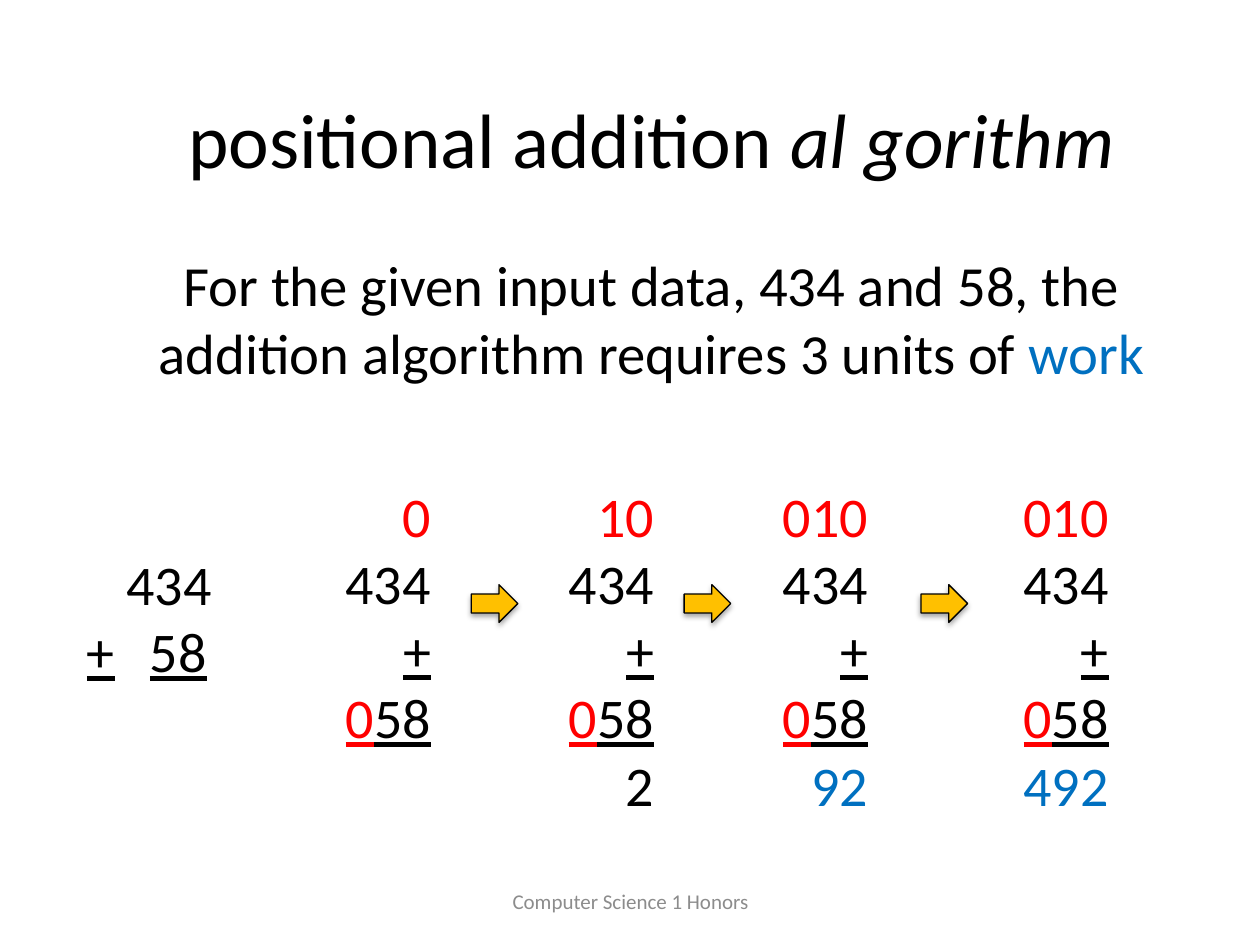
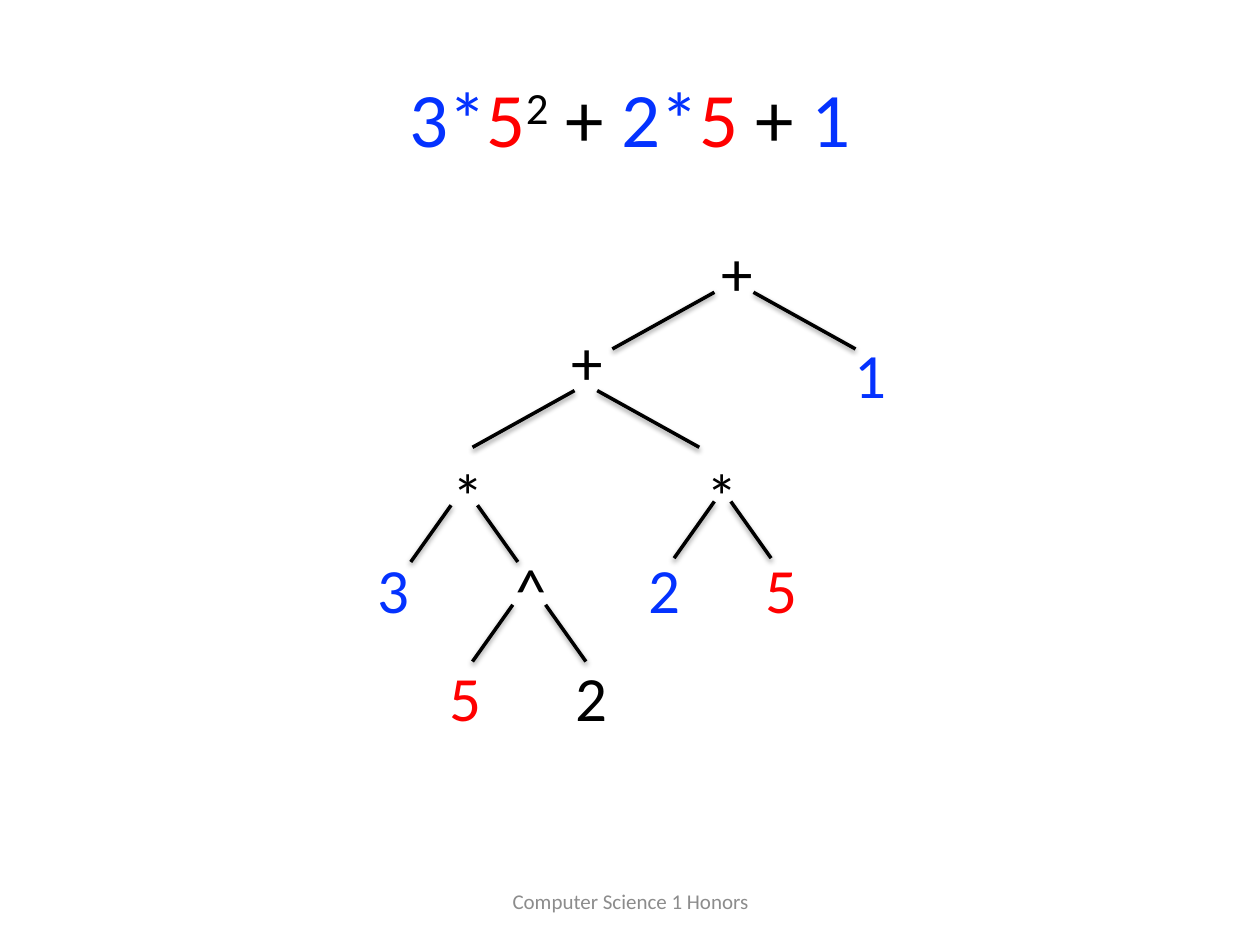
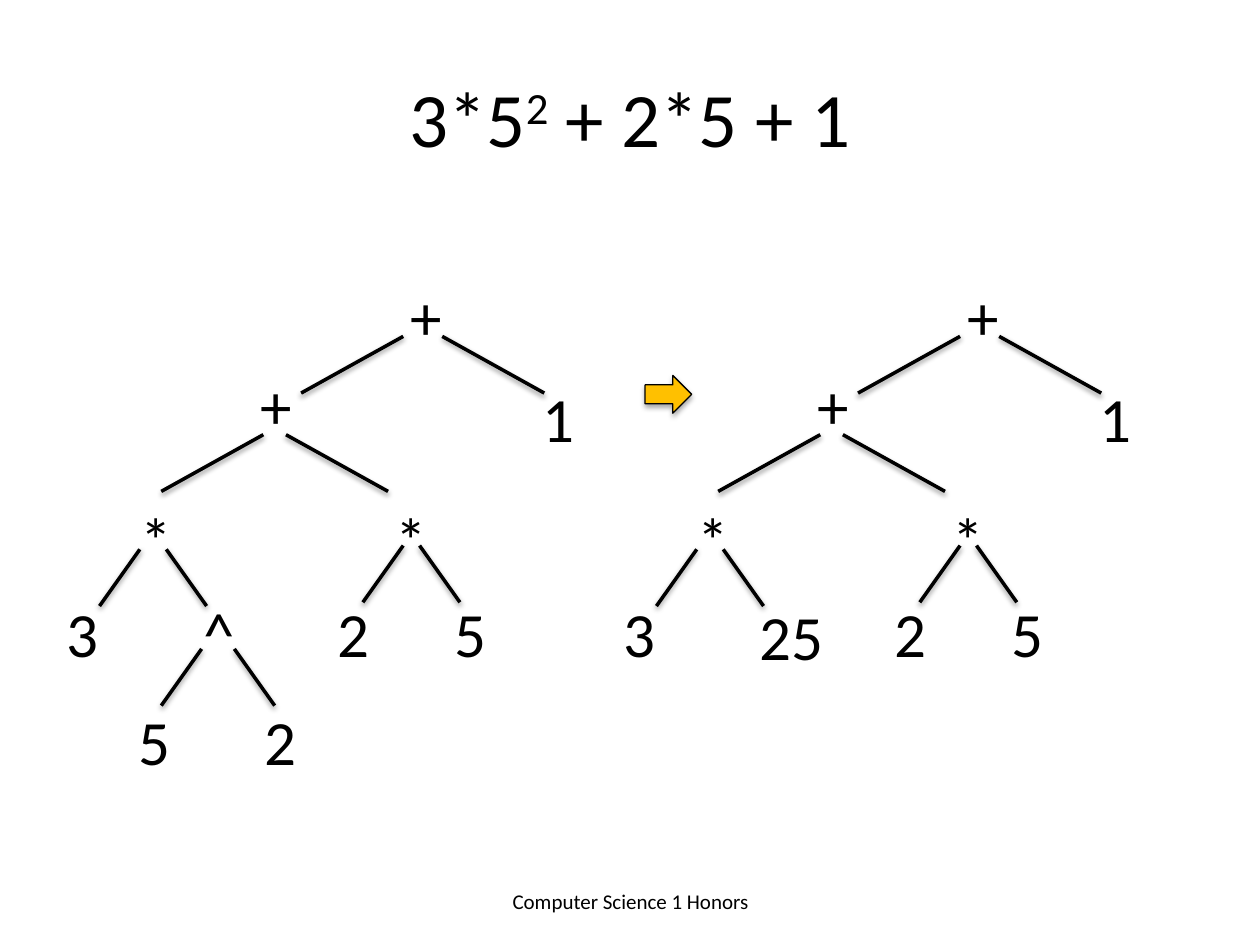
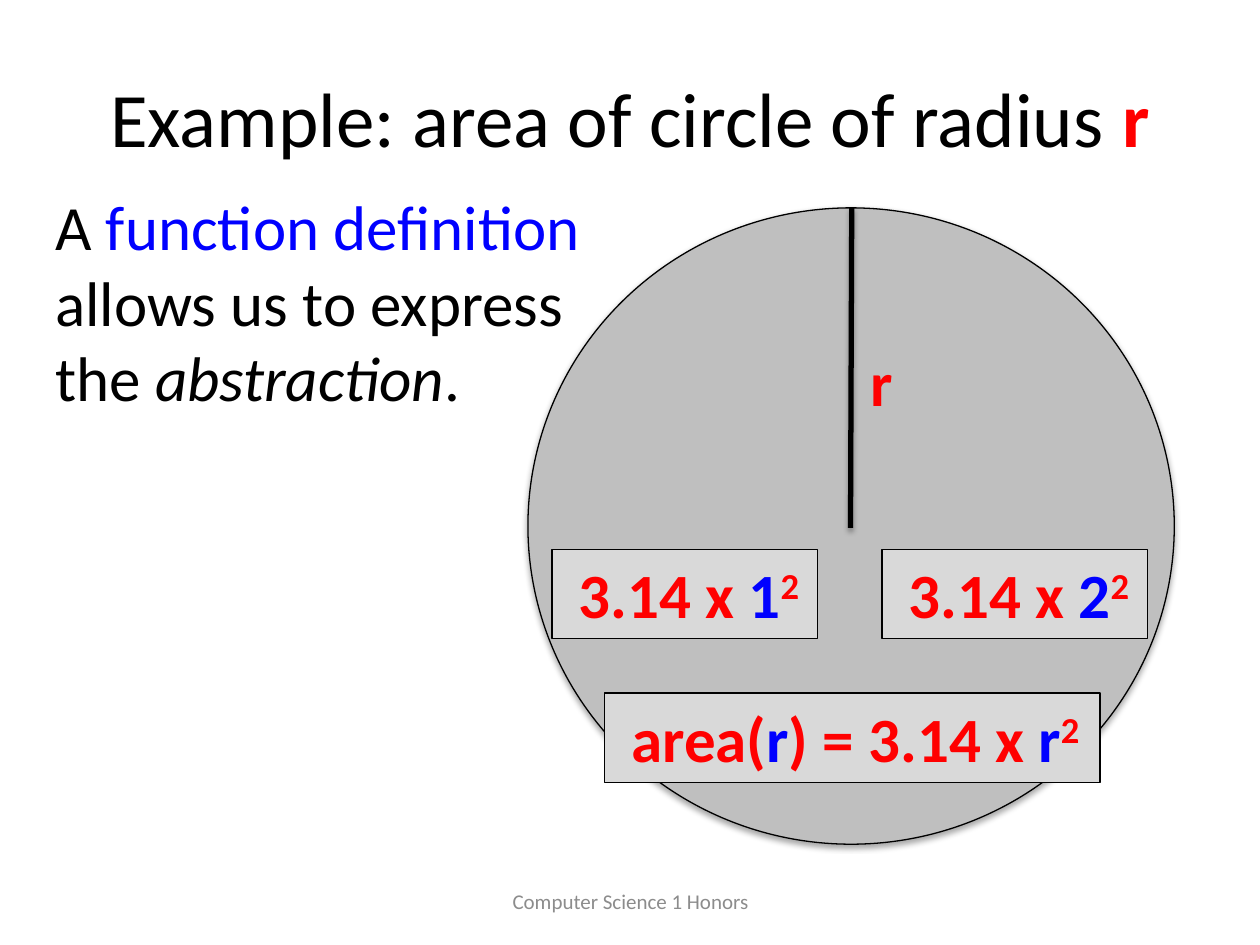
from lxml.etree import SubElement
from pptx import Presentation
from pptx.dml.color import RGBColor
from pptx.enum.shapes import MSO_CONNECTOR, MSO_SHAPE
from pptx.enum.text import MSO_ANCHOR, MSO_AUTO_SIZE, PP_ALIGN
from pptx.oxml.ns import qn
from pptx.util import Inches, Pt

# Shared look
FONT = "Calibri"
BLACK, RED, BLUE, STEEL = "000000", "FF0000", "0000FF", "0070C0"
INK, GOLD, GREY, PALE, MUTED = "0432FF", "FFC000", "BFBFBF", "D9D9D9", "8C8C8C"
TITLE_SIZE, SUM_SIZE, LABEL_SIZE, FOOTER_SIZE = 44, 32, 36, 12
LEFT, CENTER, RIGHT = PP_ALIGN.LEFT, PP_ALIGN.CENTER, PP_ALIGN.RIGHT

# Grid of 100 columns by 75 rows: all places below are counted in cells
CELL = Inches(0.1)
TITLE_AREA = (5, 3, 90, 12.5)
FOOTER_AREA = (34.2, 69.5, 31.7, 4)
LABEL_HEIGHT = 7.1

# Tree parts, in cells from the tree's corner: text, column, row, width, colour
TREE_TOP = [
    ("+", 27.3, 0, 4.5, BLACK), ("+", 15.4, 7.1, 4.5, BLACK), ("1", 37.8, 8.1, 4.6, INK),
    ("*", 5.9, 17.7, 4.5, BLACK), ("*", 26.1, 17.7, 4.5, BLACK),
    ("3", 0, 25.2, 4.6, INK), ("2", 21.5, 25.2, 4.7, INK), ("5", 30.8, 25.2, 4.6, RED),
]
POWER = [("^", 10.9, 25.2, 4.5, BLACK), ("5", 5.7, 33.8, 4.6, RED), ("2", 15.7, 33.8, 4.6, BLACK)]
POWER_VALUE = [("25", 10.8, 25.4, 7.1, BLACK)]
# Forks: left start, right start, row, reach to the side
TOP_FORKS = [(27.7, 30.8, 5.2, 8.1), (16.6, 18.4, 13, 8.1), (6.8, 8.9, 22.1, 3.2), (27.7, 29, 21.8, 3.2)]
POWER_FORK = [(11.7, 14.3, 30, 3.2)]
FORK_DROP = 4.5


def cells(*counts):
    return [round(count * CELL) for count in counts]


def color(code):
    return RGBColor.from_string(code)


def write(frame, paragraphs, size, align=LEFT):
    """Each paragraph is a list of (text, colour, style); style holds b, i, u or ^."""
    for index, spans in enumerate(paragraphs):
        para = frame.paragraphs[0] if index == 0 else frame.add_paragraph()
        para.alignment = align
        para.space_before = Pt(0)
        for text, code, style in spans:
            span = para.add_run()
            span.text = text
            font = span.font
            font.name, font.size = FONT, Pt(size)
            font.color.rgb = color(code)
            font.bold, font.italic, font.underline = ("b" in style, "i" in style, "u" in style)
            if "^" in style:
                span._r.get_or_add_rPr().set("baseline", "30000")


def add_text(shapes, area, paragraphs, size, align=LEFT, anchor=MSO_ANCHOR.TOP, wrap=True):
    box = shapes.add_textbox(*cells(*area))
    frame = box.text_frame
    frame.word_wrap = wrap
    frame.vertical_anchor = anchor
    write(frame, paragraphs, size, align)
    return box


def add_label(shapes, column, row, width, text, code, style=""):
    add_text(shapes, (column, row, width, LABEL_HEIGHT), [[(text, code, style)]], LABEL_SIZE, wrap=False)


def fill_placeholder(holder, area, paragraphs, size, align=LEFT):
    holder.left, holder.top, holder.width, holder.height = cells(*area)
    holder.text_frame.auto_size = MSO_AUTO_SIZE.NONE
    write(holder.text_frame, paragraphs, size, align)


def add_page(deck, layout, title, area=TITLE_AREA, size=TITLE_SIZE, footer=MUTED):
    page = deck.slides.add_slide(deck.slide_layouts.get_by_name(layout))
    fill_placeholder(page.shapes.title, area, [title], size, CENTER)
    page.shapes.title.text_frame.vertical_anchor = MSO_ANCHOR.MIDDLE
    add_text(page.shapes, FOOTER_AREA, [[("Computer Science 1 Honors", footer, "")]],
             FOOTER_SIZE, CENTER, MSO_ANCHOR.MIDDLE)
    return page


def cast_shadow(shape, opacity=35, distance=1.8):
    effects = SubElement(shape.element.spPr, qn("a:effectLst"))
    shadow = SubElement(effects, qn("a:outerShdw"), blurRad=str(Pt(3.1)), dist=str(Pt(distance)),
                        dir="5400000", rotWithShape="0")
    tone = SubElement(shadow, qn("a:srgbClr"), val=BLACK)
    SubElement(tone, qn("a:alpha"), val=str(opacity * 1000))


def add_figure(shapes, kind, area, fill, shadowed=True):
    figure = shapes.add_shape(kind, *cells(*area))
    figure.fill.solid()
    figure.fill.fore_color.rgb = color(fill)
    figure.line.color.rgb = color(BLACK)
    figure.line.width = Pt(0.75)
    if shadowed:
        cast_shadow(figure)
    else:
        figure.shadow.inherit = False
    return figure


def add_arrow(shapes, column, row):
    add_figure(shapes, MSO_SHAPE.RIGHT_ARROW, (column, row, 3.7, 3), GOLD)


def add_line(shapes, ends, width, opacity, distance):
    line = shapes.add_connector(MSO_CONNECTOR.STRAIGHT, *cells(*ends))
    line.line.color.rgb = color(BLACK)
    line.line.width = Pt(width)
    cast_shadow(line, opacity, distance)


def add_formula(shapes, area, spans):
    panel = add_figure(shapes, MSO_SHAPE.RECTANGLE, area, PALE, shadowed=False)
    panel.text_frame.word_wrap = False
    panel.text_frame.vertical_anchor = MSO_ANCHOR.TOP
    write(panel.text_frame, [spans], LABEL_SIZE)


def add_tree(page, left, top, nodes, forks, colored=False):
    tree = page.shapes.add_group_shape().shapes
    for text, column, row, width, code in nodes:
        add_label(tree, left + column, top + row, width, text, code if colored else BLACK)
    for left_start, right_start, row, reach in forks:
        for start, side in ((left_start, -reach), (right_start, reach)):
            x, y = left + start, top + row
            add_line(tree, (x, y, x + side, y + FORK_DROP), 2, 38, 1.6)


def add_right_tab(para, column):
    tabs = SubElement(para._p.get_or_add_pPr(), qn("a:tabLst"))
    SubElement(tabs, qn("a:tab"), pos=str(cells(column)[0]), algn="r")


def build_addition(deck):
    question = [("For the given input data, 434 and 58, the addition algorithm requires 3 units of ", BLACK, ""),
                ("work", STEEL, "")]
    page = add_page(deck, "Title and Content", question, (6.7, 19, 90, 12.5), 32.4)
    add_text(page.shapes, (6.7, 4.7, 90, 12.5),
             [[("positional addition ", BLACK, ""), ("al gorithm", BLACK, "i")]],
             TITLE_SIZE, CENTER, MSO_ANCHOR.MIDDLE)

    # The sum as given, one line lower than the steps
    top, width, height, inset = 37.7, 15.4, 23.6, 4.5
    given = page.placeholders[1]
    fill_placeholder(given, (5.9, top, width, height),
                     [[("434", BLACK, "")], [("+\t58", BLACK, "u")]], SUM_SIZE, RIGHT)
    given.text_frame.margin_top, given.text_frame.margin_right = cells(5.9, inset)
    for para in given.text_frame.paragraphs:
        properties = para._p.get_or_add_pPr()
        properties.set("marL", "0")
        properties.set("indent", "0")
        SubElement(properties, qn("a:buNone"))
    plus_line = given.text_frame.paragraphs[1]
    plus_line.alignment = LEFT
    add_right_tab(plus_line, 9.7)

    # Steps: column, carried digits, result, colour of the result
    steps = [(23.3, "0", "", BLACK), (41, "10", "2", BLACK), (58, "010", "92", STEEL), (77.1, "010", "492", STEEL)]
    for column, carry, result, code in steps:
        lines = [[(carry, RED, "")], [("434", BLACK, "")],
                 [("+ ", BLACK, "u"), ("0", RED, "u"), ("58", BLACK, "u")]]
        if result:
            lines.append([(result, code, "")])
        step = add_text(page.shapes, (column, top, width, height), lines, SUM_SIZE, RIGHT)
        step.text_frame.margin_right = cells(inset)[0]
    for column in (37.4, 54.3, 73.1):
        add_arrow(page.shapes, column, 46.4)


def build_colored_tree(deck):
    title = [("3*", INK, ""), ("5", RED, ""), ("2", BLACK, "^"), (" + ", BLACK, ""),
             ("2*", INK, ""), ("5", RED, ""), (" + ", BLACK, ""), ("1", INK, "")]
    page = add_page(deck, "Title Only", title)
    add_tree(page, 29, 18, TREE_TOP + POWER, TOP_FORKS + POWER_FORK, colored=True)


def build_evaluation(deck):
    title = [("3*5", BLACK, ""), ("2", BLACK, "^"), (" + 2*5 + 1", BLACK, "")]
    page = add_page(deck, "Title Only", title, footer=BLACK)
    add_tree(page, 48.5, 21.5, TREE_TOP + POWER_VALUE, TOP_FORKS)
    add_tree(page, 4.3, 21.5, TREE_TOP + POWER, TOP_FORKS + POWER_FORK)
    add_arrow(page.shapes, 51.2, 29.8)


def build_circle(deck):
    title = [("Example: area of circle of radius ", BLACK, ""), ("r", RED, "b")]
    page = add_page(deck, "Title Only", title)
    shapes = page.shapes
    add_figure(shapes, MSO_SHAPE.OVAL, (41.9, 16.5, 51.3, 50.5), GREY)
    add_line(shapes, (67.5, 41.9, 67.6, 16.5), 3, 35, 1.8)
    add_label(shapes, 68.1, 26.8, 3.8, "r", RED, "b")
    for column, radius in ((43.8, "1"), (70, "2")):
        add_formula(shapes, (column, 43.6, 21.1, LABEL_HEIGHT),
                    [(" 3.14 x ", RED, "b"), (radius, BLUE, "b"), ("2", RED, "b^")])
    add_text(shapes, (3.4, 14.4, 46.2, 19.2),
             [[("A ", BLACK, ""), ("function definition", BLUE, ""), (" allows us to express the ", BLACK, ""),
               ("abstraction", BLACK, "i"), (".", BLACK, "")]], LABEL_SIZE)
    add_formula(shapes, (48, 55, 39.3, LABEL_HEIGHT),
                [(" area(", RED, "b"), ("r", BLUE, "b"), (") = 3.14 x ", RED, "b"),
                 ("r", BLUE, "b"), ("2", RED, "b^")])


def main():
    deck = Presentation()
    deck.slide_width, deck.slide_height = cells(100, 75)
    build_addition(deck)
    build_colored_tree(deck)
    build_evaluation(deck)
    build_circle(deck)
    deck.save("out.pptx")


if __name__ == "__main__":
    main()
